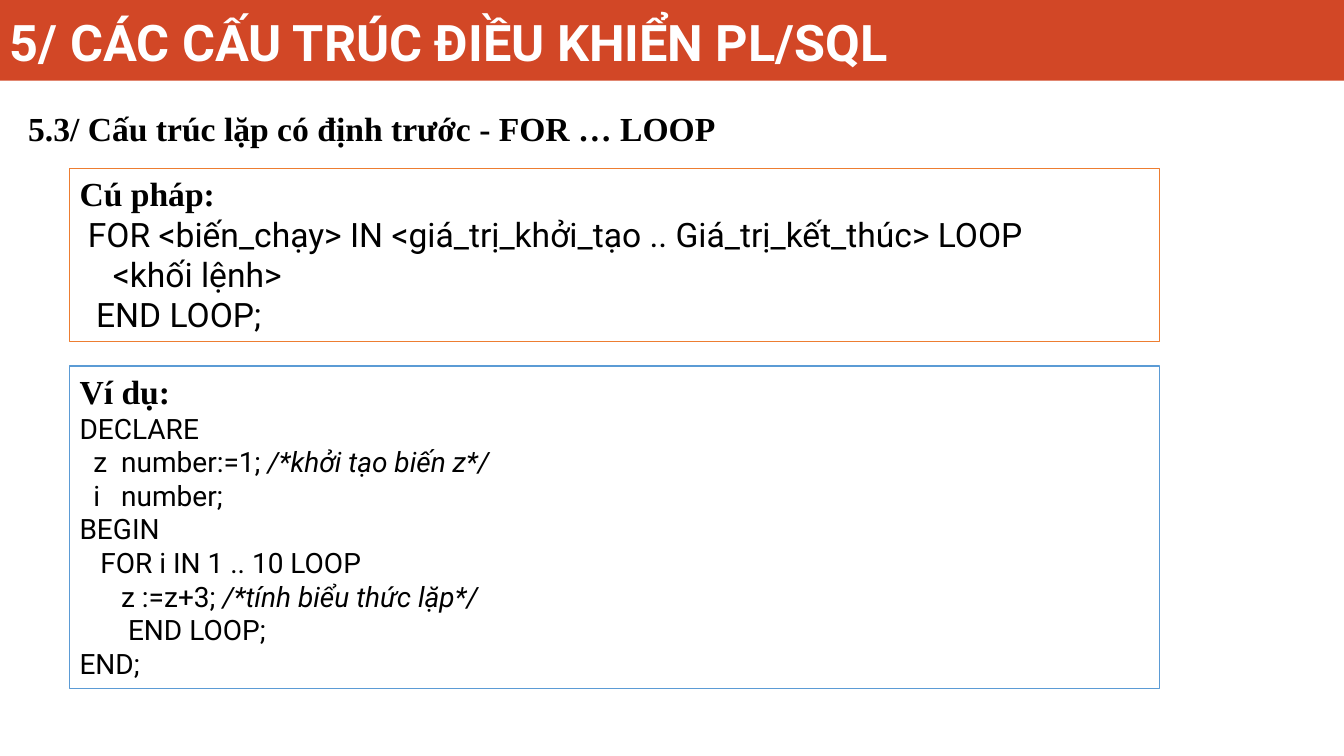
import pptx
import pptx.util
import pptx.dml.color
import pptx.enum.shapes
import pptx.enum.text

Inches = pptx.util.Inches
Pt = pptx.util.Pt
COLORS = {"banner": "D24726", "paper": "FFFFFF", "ink": "000000",
          "syntax": "ED7D31", "example": "5B9BD5"}
HEADING_FONT, CODE_FONT = "Times New Roman", "Roboto"
SPACE_SHARE = 0.2475


def color(name):
    return pptx.dml.color.RGBColor.from_string(COLORS[name])


def style(paragraph, size, name, ink="ink", bold=False):
    paragraph.alignment = pptx.enum.text.PP_ALIGN.LEFT
    font = paragraph.font
    font.size, font.name, font.bold = Pt(size), name, bold
    font.color.rgb = color(ink)


presentation = pptx.Presentation()
presentation.slide_width = Inches(13.33)
presentation.slide_height = Inches(7.5)
slide = presentation.slides.add_slide(presentation.slide_layouts[6])
rectangle = pptx.enum.shapes.MSO_SHAPE.RECTANGLE

banner = slide.shapes.add_shape(rectangle, 0, 0, presentation.slide_width, Inches(0.8))
banner.shadow.inherit = False
banner.fill.solid()
banner.fill.fore_color.rgb = color("banner")
banner.line.fill.background()

headings = [
    ("5/ CÁC CẤU TRÚC ĐIỀU KHIỂN PL/SQL", (0, 0, 11.76, 0.76), 36, CODE_FONT, "paper", True),
    ("5.3/ Cấu trúc lặp có định trước - FOR … LOOP", (0.18, 1.02, 7.08, 0.5), 24, HEADING_FONT, "ink", False),
]
for text, place, size, name, ink, wrap in headings:
    shape = slide.shapes.add_textbox(*map(Inches, place))
    frame = shape.text_frame
    frame.word_wrap = wrap
    frame.vertical_anchor = pptx.enum.text.MSO_ANCHOR.BOTTOM
    frame.text = text
    style(frame.paragraphs[0], size, name, ink, bold=True)

# Each code line: indent in spaces, code, comment
boxes = [
    ("syntax", 1.67, 1.72, 24, "Cú pháp:", [
        (1, "FOR <biến_chạy> IN <giá_trị_khởi_tạo .. Giá_trị_kết_thúc> LOOP", ""),
        (4, "<khối lệnh>", ""),
        (2, "END LOOP;", ""),
    ]),
    ("example", 3.63, 3.2, 20, "Ví dụ:", [
        (0, "DECLARE", ""),
        (2, "z\tnumber:=1; ", "/*khởi tạo biến z*/"),
        (2, "i\tnumber;", ""),
        (0, "BEGIN", ""),
        (3, "FOR i IN 1 .. 10 LOOP", ""),
        (6, "z :=z+3; ", "/*tính biểu thức lặp*/"),
        (7, "END LOOP;", ""),
        (0, "END;", ""),
    ]),
]
for border, top, height, size, heading, lines in boxes:
    shape = slide.shapes.add_shape(rectangle, Inches(0.69), Inches(top), Inches(10.81), Inches(height))
    shape.shadow.inherit = False
    shape.fill.solid()
    shape.fill.fore_color.rgb = color("paper")
    shape.line.color.rgb = color(border)
    shape.line.width = Pt(1)
    frame = shape.text_frame
    frame.word_wrap = True
    frame.vertical_anchor = pptx.enum.text.MSO_ANCHOR.TOP
    frame.text = heading
    style(frame.paragraphs[0], 24, HEADING_FONT, bold=True)
    space = Pt(size * SPACE_SHARE)
    for indent, code, comment in lines:
        paragraph = frame.add_paragraph()
        style(paragraph, size, CODE_FONT)
        hanging = 4 if "\t" in code else 0
        properties = paragraph._p.get_or_add_pPr()
        properties.set("marL", str((indent + hanging) * space))
        properties.set("indent", str(-hanging * space))
        paragraph.add_run().text = code
        if comment:
            run = paragraph.add_run()
            run.text = comment
            run.font.italic = True

presentation.save("out.pptx")
